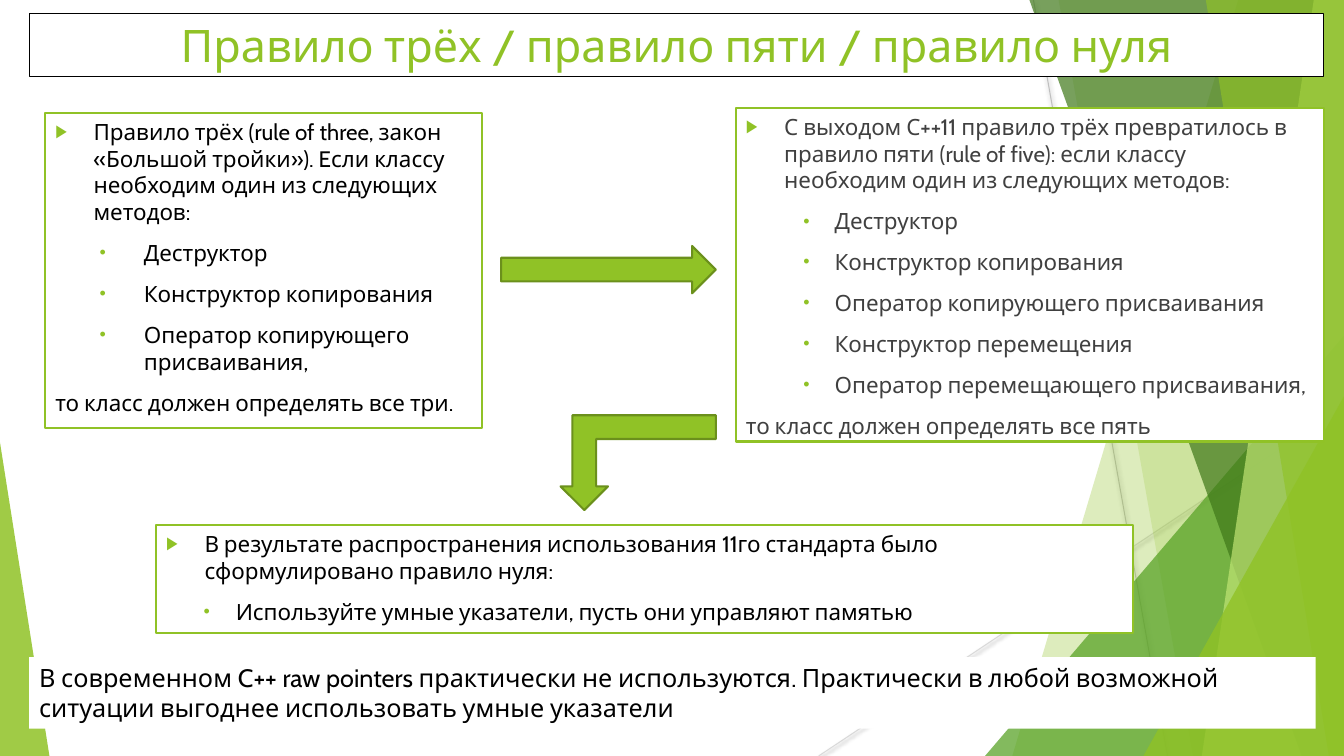
from lxml import etree
from pptx import Presentation
from pptx import util as u
from pptx.dml.color import RGBColor
from pptx.enum import shapes, text
from pptx.oxml.ns import qn

W, H = 13.33, 7.5
FONT = "Cabin"
GREEN, EDGE, BLACK, WHITE, GREY = "90C226", "6B901C", "000000", "FFFFFF", "404040"

# Content: each paragraph is (level, text); levels are head, item, plain
TITLE = "Правило трёх / правило пяти / правило нуля"
THREE = [
    ("head", "Правило трёх (rule of three, закон «Большой тройки»). Eсли классу "
             "необходим один из следующих методов:"),
    ("item", "Деструктор"),
    ("item", "Конструктор копирования"),
    ("item", "Оператор копирующего присваивания,"),
    ("plain", "то класс должен определять все три."),
]
FIVE = [
    ("head", "С выходом С++11 правило трёх превратилось в правило пяти (rule of five): "
             "если классу необходим один из следующих методов:"),
    ("item", "Деструктор"),
    ("item", "Конструктор копирования"),
    ("item", "Оператор копирующего присваивания"),
    ("item", "Конструктор перемещения"),
    ("item", "Оператор перемещающего присваивания,"),
    ("plain", "то класс должен определять все пять"),
]
ZERO = [
    ("head", "В результате распространения использования 11го стандарта было "
             "сформулировано правило нуля:"),
    ("item", "Используйте умные указатели, пусть они управляют памятью"),
]
NOTE = [("plain", "В современном C++ raw pointers практически не используются. "
                  "Практически в любой возможной ситуации выгоднее использовать умные указатели")]

# Boxes: place, paragraphs, item indent (left, first line), format
BOXES = [
    ((0.45, 1.12, 4.33, 3.13), THREE, (0.88, -0.44), dict(color=BLACK)),
    ((7.3, 1.07, 5.83, 3.31), FIVE, (0.88, -0.31), dict(color=GREY)),
    ((1.55, 5.21, 9.69, 1.07), ZERO, (0.69, -0.32), dict(color=BLACK)),
    ((0.29, 6.52, 12.76, 0.71), NOTE, (0, 0), dict(color=BLACK, size=18, gap=0)),
]
ARROWS = [
    (shapes.MSO_SHAPE.RIGHT_ARROW, (4.97, 2.44, 2.13, 0.47), 0),
    (shapes.MSO_SHAPE.BENT_UP_ARROW, (5.56, 4.12, 1.54, 0.94), 180),
]

# Backdrop: thin lines, then facets from back to front
RAYS = [((10.25, 0), (11.58, H), "BFBFBF"), ((W, 4.03), (8.12, H), "D9D9D9")]
# A band runs from its top left to its bottom left and fills to the right edge
FACETS = [
    ("band", (12.28, 10.04), GREEN, 30),
    ("band", (10.5, 11.83), GREEN, 20),
    ("peak", (9.77, 3.33, 3.56, 4.17, 1), "54A021", 72),
    ("band", (10.21, 12.91), "3F7819", 70),
    ("band", (13.03, 11.92), "C0E474", 70),
    ("band", (11.96, 13.18), GREEN, 65),
    ("peak", (11.34, 3.93, 1.99, 3.57, 1), GREEN, 80),
    ("peak", (0, 4.39, 0.49, 3.11, 0), GREEN, 85),
]

prs = Presentation()
prs.slide_width, prs.slide_height = u.Inches(W), u.Inches(H)
slide = prs.slides.add_slide(prs.slide_layouts[5])


def rgb(code):
    return RGBColor.from_string(code)


def node(parent, tag, **attrs):
    return etree.SubElement(parent, qn("a:" + tag), {k: str(v) for k, v in attrs.items()})


def inches(vals):
    return [u.Inches(v) for v in vals]


def paint(shape, fill, line=None, width=1.5, alpha=100):
    shape.fill.solid()
    shape.fill.fore_color.rgb = rgb(fill)
    if alpha < 100:
        clr = shape.element.spPr.find(qn("a:solidFill"))[0]
        node(clr, "alpha", val=alpha * 1000)
    if line:
        shape.line.color.rgb = rgb(line)
        shape.line.width = u.Pt(width)
    else:
        shape.line.fill.background()


def add(kind, place):
    shape = slide.shapes.add_shape(kind, *inches(place))
    shape.shadow.inherit = False
    return shape


def bullet(para, char, left, first):
    props = para._p.get_or_add_pPr()
    props.set("marL", str(u.Inches(left)))
    props.set("indent", str(u.Inches(first)))
    node(node(props, "buClr"), "srgbClr", val=GREEN)
    node(props, "buSzPct", val=80000)
    node(props, "buFont", typeface="Arial")
    node(props, "buChar", char=char)


def write(shape, paras, color=BLACK, size=16, gap=10, item=(0, 0),
          align=text.PP_ALIGN.LEFT, anchor=text.MSO_ANCHOR.TOP):
    frame = shape.text_frame
    frame.word_wrap, frame.auto_size = True, text.MSO_AUTO_SIZE.NONE
    frame.vertical_anchor = anchor
    marks = {"head": ("▶", 0.38, -0.38), "item": ("•", *item)}
    for i, (level, words) in enumerate(paras):
        para = frame.add_paragraph() if i else frame.paragraphs[0]
        para.alignment, para.space_before = align, u.Pt(gap)
        if level in marks:
            bullet(para, *marks[level])
        run = para.add_run()
        run.text = words
        run.font.name, run.font.size = FONT, u.Pt(size)
        run.font.color.rgb = rgb(color)


# Backdrop
for start, end, color in RAYS:
    ray = slide.shapes.add_connector(shapes.MSO_CONNECTOR.STRAIGHT, *inches(start + end))
    ray.line.color.rgb, ray.line.width = rgb(color), u.Pt(0.75)
    effect = node(ray.element.spPr, "effectLst")
    shade = node(effect, "outerShdw", blurRad=u.Pt(3.1), dist=u.Pt(1.6), dir=5400000)
    node(node(shade, "srgbClr", val=BLACK), "alpha", val=38000)

for kind, dims, color, alpha in FACETS:
    if kind == "band":
        top, foot = dims
        pts = [inches(p) for p in ((top, 0), (W, 0), (W, H), (foot, H))]
        pen = slide.shapes.build_freeform(*pts[0])
        pen.add_line_segments(pts[1:], close=True)
        facet = pen.convert_to_shape()
        facet.shadow.inherit = False
    else:
        facet = add(shapes.MSO_SHAPE.ISOSCELES_TRIANGLE, dims[:4])
        facet.adjustments[0] = dims[4]
    paint(facet, color, alpha=alpha)

# Title, raised above the backdrop
title = slide.shapes.title
title.element.getparent().append(title.element)
title.left, title.top, title.width, title.height = inches((0.29, 0.13, 12.84, 0.63))
paint(title, WHITE, BLACK, 0.75)
write(title, [("plain", TITLE)], color=GREEN, size=32, gap=0,
      align=text.PP_ALIGN.CENTER, anchor=text.MSO_ANCHOR.MIDDLE)

# Rule boxes and closing note
for place, paras, item, style in BOXES:
    box = add(shapes.MSO_SHAPE.RECTANGLE, place)
    paint(box, WHITE, None if paras is NOTE else GREEN)
    write(box, paras, item=item, **style)

# Arrows
for kind, place, turn in ARROWS:
    arrow = add(kind, place)
    arrow.rotation = turn
    paint(arrow, GREEN, EDGE)

prs.save("out.pptx")
